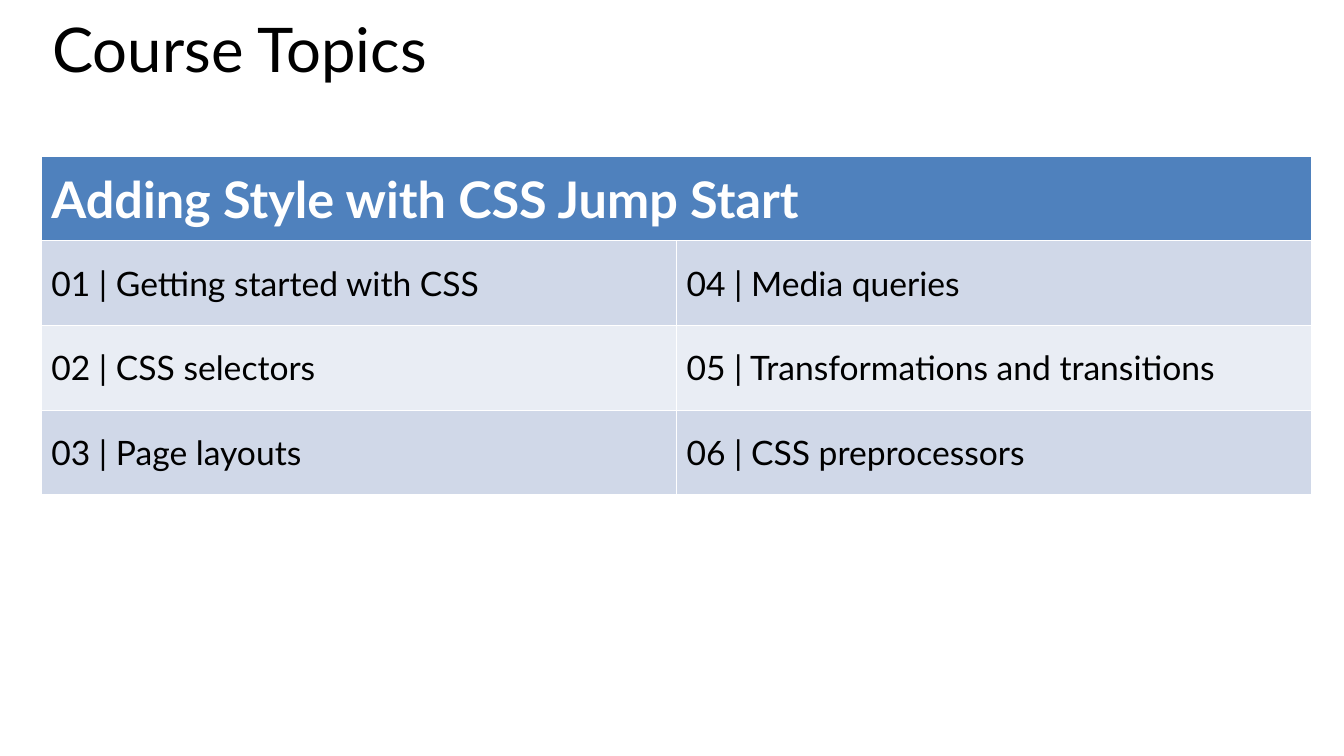
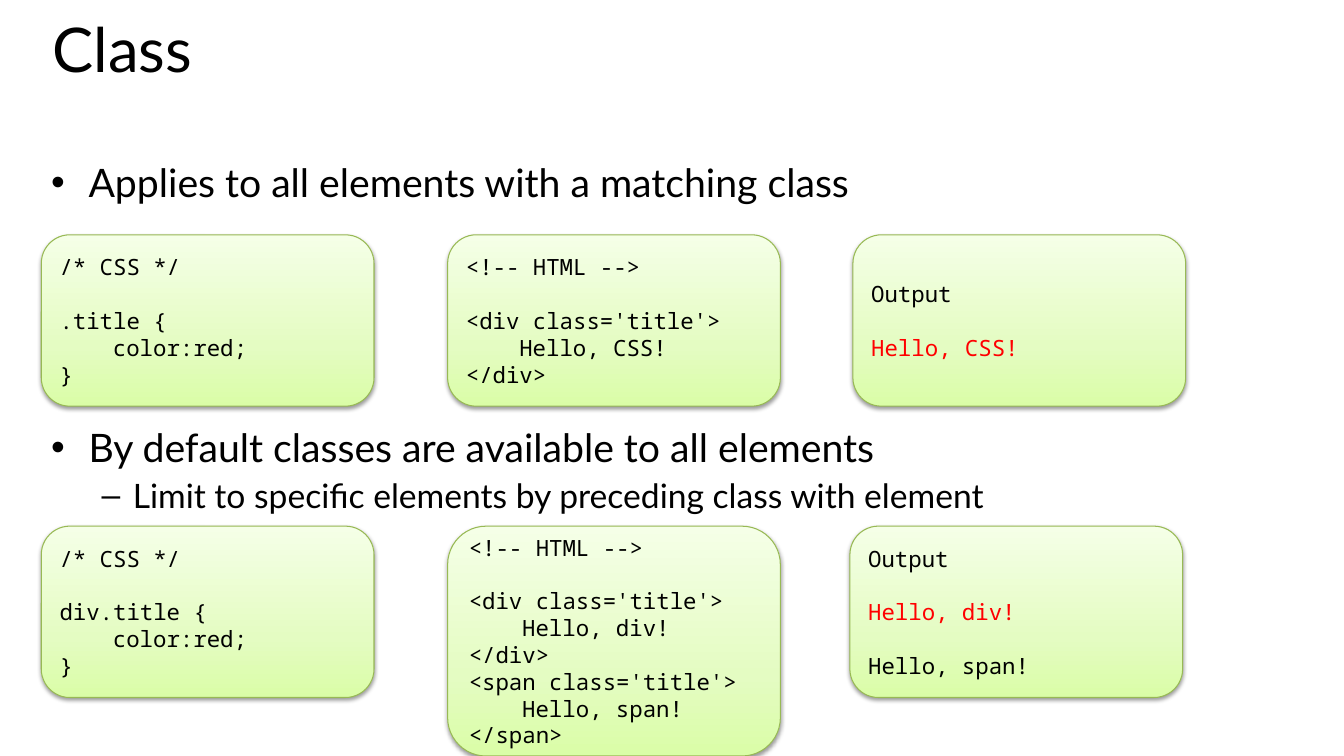
"""Build two course slides: a table of topics and a page on CSS classes."""
from pptx import Presentation
from pptx.dml.color import RGBColor
from pptx.enum.shapes import MSO_SHAPE
from pptx.enum.text import MSO_ANCHOR, MSO_AUTO_SIZE, PP_ALIGN
from pptx.oxml import parse_xml
from pptx.oxml.ns import nsdecls
from pptx.util import Pt

PX = 9144
ROUNDED = MSO_SHAPE.ROUNDED_RECTANGLE
TOP, MIDDLE = MSO_ANCHOR.TOP, MSO_ANCHOR.MIDDLE
LEFT = PP_ALIGN.LEFT
NO_FIT = MSO_AUTO_SIZE.NONE
TITLE_ONLY = 5
SANS, MONO = "Lato", "Noto Sans Mono"
COLORS = {
    "text": "000000", "white": "FFFFFF", "red": "FF0000",
    "header": "4F81BD", "band_dark": "D0D8E8", "band_light": "E9EDF4",
    "card_line": "98B955", "card_bottom": "DAFDA7",
    "card_middle": "E4FCC2", "card_top": "F5FFE7",
}


def write(frame, text, size=24, font=SANS, color="text", bold=False, before=0,
          after=0, spacing=1.0, margin=0, hanging=0, bullet=None):
    """Add one formatted paragraph, using the first one while it is empty."""
    para = frame.paragraphs[0]
    if para.runs:
        para = frame.add_paragraph()
    para.alignment = LEFT
    para.line_spacing = spacing
    para.space_before, para.space_after = Pt(before), Pt(after)
    properties = para._p.get_or_add_pPr()
    properties.set("marL", str(margin * PX))
    properties.set("indent", str(-hanging * PX))
    if bullet:
        properties.append(parse_xml(f'<a:buFont {nsdecls("a")} typeface="Arial"/>'))
        properties.append(parse_xml(f'<a:buChar {nsdecls("a")} char="{bullet}"/>'))
    span = para.add_run()
    span.text = text
    span.font.size, span.font.name, span.font.bold = Pt(size), font, bold
    span.font.color.rgb = RGBColor.from_string(COLORS[color])


def add_page(title):
    """Add a slide with the shared title style."""
    page = deck.slides.add_slide(deck.slide_layouts[TITLE_ONLY])
    box = page.shapes.title
    box.left, box.top, box.width, box.height = 42 * PX, 20 * PX, 1260 * PX, 116 * PX
    frame = box.text_frame
    frame.auto_size, frame.vertical_anchor = NO_FIT, TOP
    write(frame, title, size=44, spacing=0.8)
    return page


deck = Presentation()
deck.slide_width, deck.slide_height = 1333 * PX, 750 * PX

page = add_page("Course Topics")
topics = [
    ("01 | Getting started with CSS", "04 | Media queries"),
    ("02 | CSS selectors", "05 | Transformations and transitions"),
    ("03 | Page layouts", "06 | CSS preprocessors"),
]
table = page.shapes.add_table(
    len(topics) + 1, 2, 41 * PX, 155 * PX, 1260 * PX, 336 * PX).table
table.cell(0, 0).merge(table.cell(0, 1))
write(table.cell(0, 0).text_frame, "Adding Style with CSS Jump Start",
      size=36, color="white", bold=True)
for row, pair in enumerate(topics, start=1):
    for column, topic in enumerate(pair):
        write(table.cell(row, column).text_frame, topic)
for row, band in enumerate(["header", "band_dark", "band_light", "band_dark"]):
    for cell in table.rows[row].cells:
        cell.vertical_anchor = MIDDLE
        cell.fill.solid()
        cell.fill.fore_color.rgb = RGBColor.from_string(COLORS[band])

page = add_page("Class")
body = page.shapes.add_textbox(41 * PX, 152 * PX, 1260 * PX, 579 * PX).text_frame
body.word_wrap = True
write(body, "Applies to all elements with a matching class",
      size=28, margin=37, hanging=37, bullet="•")
write(body, "By default classes are available to all elements",
      size=28, margin=37, hanging=37, bullet="•", before=156)
write(body, "Limit to specific elements by preceding class with element",
      margin=81, hanging=31, bullet="–", before=3, after=3)

GAP = {"before": 19}
INDENT = {"margin": 53}
RED_GAP = {"before": 19, "color": "red"}
cards = [
    (41, 233, 170, [("/* CSS */", {}), (".title {", GAP),
                    ("color:red;", INDENT), ("}", {})]),
    (444, 233, 170, [("<!-- HTML -->", {}), ("<div class='title'>", GAP),
                     ("Hello, CSS!", INDENT), ("</div>", {})]),
    (846, 233, 170, [("Output", {}), ("Hello, CSS!", RED_GAP)]),
    (41, 522, 170, [("/* CSS */", {}), ("div.title {", GAP),
                    ("color:red;", INDENT), ("}", {})]),
    (444, 522, 228, [("<!-- HTML -->", {}), ("<div class='title'>", GAP),
                     ("Hello, div!", INDENT), ("</div>", {}),
                     ("<span class='title'>", {}),
                     ("Hello, span!", INDENT), ("</span>", {})]),
    (843, 522, 170, [("Output", {}), ("Hello, div!", RED_GAP),
                     ("Hello, span!", GAP)]),
]
stops = "".join(
    f'<a:gs pos="{position * 1000}"><a:srgbClr val="{COLORS[name]}"/></a:gs>'
    for position, name in [(0, "card_bottom"), (35, "card_middle"), (100, "card_top")])
gradient = (f'<a:gradFill {nsdecls("a")} rotWithShape="1"><a:gsLst>{stops}</a:gsLst>'
            '<a:lin ang="16200000" scaled="0"/></a:gradFill>')
shadow = (f'<a:effectLst {nsdecls("a")}>'
          '<a:outerShdw blurRad="40000" dist="20000" dir="5400000" rotWithShape="0">'
          f'<a:srgbClr val="{COLORS["text"]}"><a:alpha val="38000"/></a:srgbClr>'
          '</a:outerShdw></a:effectLst>')
for left, top, height, lines in cards:
    card = page.shapes.add_shape(ROUNDED, left * PX, top * PX, 330 * PX, height * PX)
    card.line.color.rgb = RGBColor.from_string(COLORS["card_line"])
    card.line.width = Pt(0.75)
    card._element.spPr.insert(2, parse_xml(gradient))
    card._element.spPr.append(parse_xml(shadow))
    card.text_frame.vertical_anchor = MIDDLE
    for text, style in lines:
        write(card.text_frame, text, size=16, font=MONO, **style)

deck.save("out.pptx")
